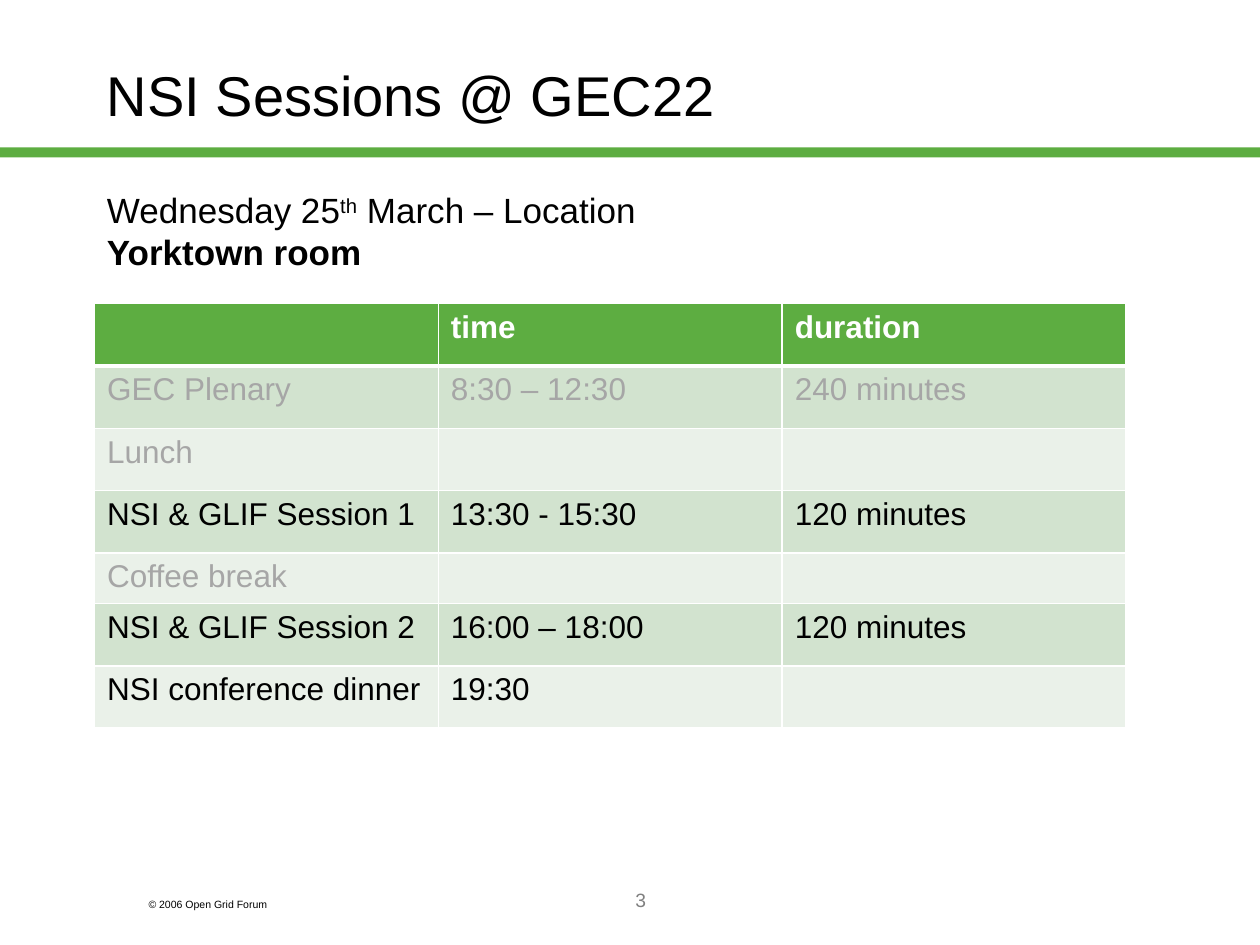
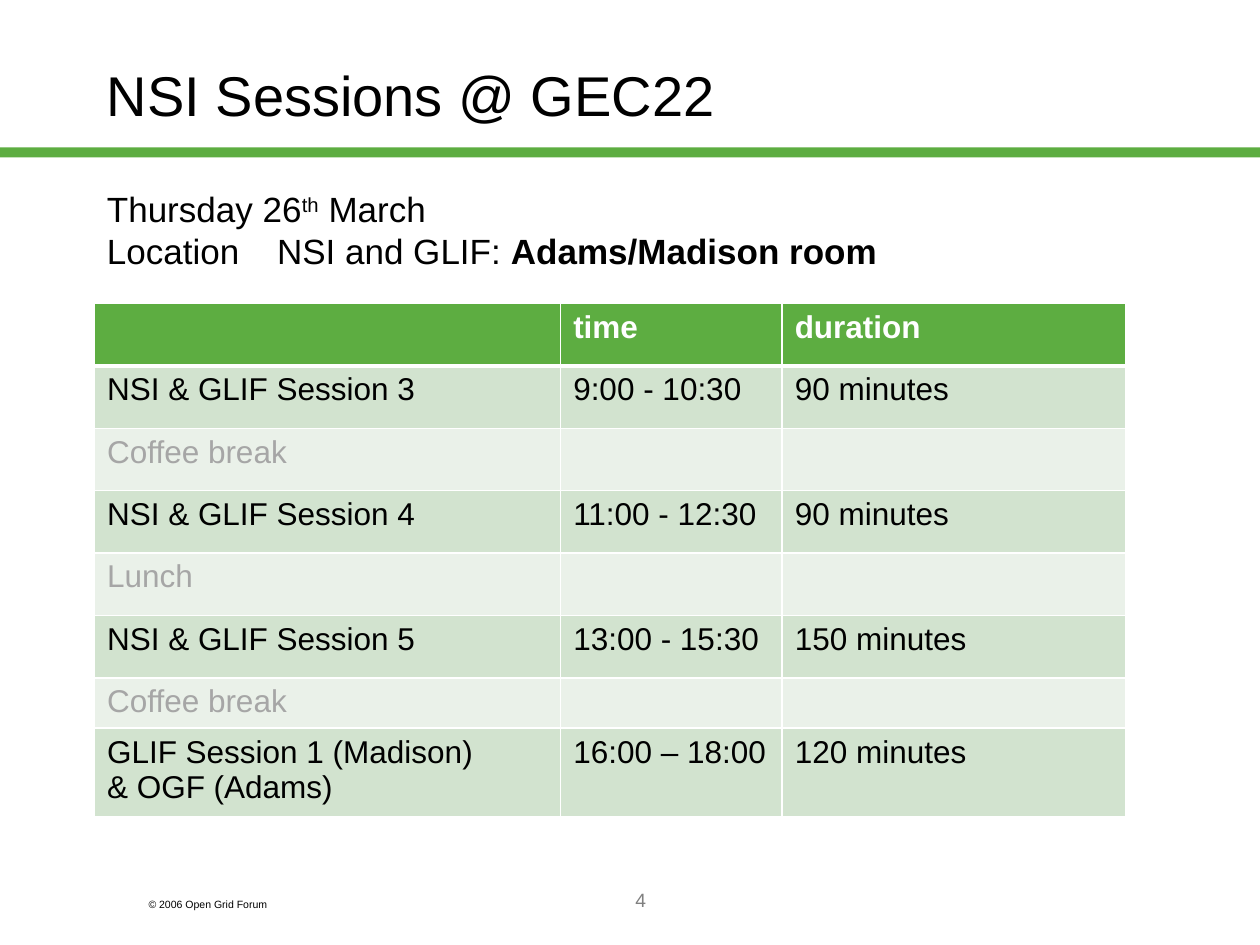
"""Build the two session timetable slides."""
from dataclasses import dataclass

from lxml import etree
from pptx import Presentation
from pptx.dml.color import RGBColor
from pptx.enum.shapes import MSO_SHAPE
from pptx.enum.text import MSO_ANCHOR, PP_ALIGN
from pptx.oxml.ns import qn
from pptx.util import Pt

RECT = MSO_SHAPE.RECTANGLE
TOP, MIDDLE = MSO_ANCHOR.TOP, MSO_ANCHOR.MIDDLE
LEFT, CENTER = PP_ALIGN.LEFT, PP_ALIGN.CENTER

FONT = "Arial"
COLORS = {
    "green": "5DAD41",
    "band_dark": "D2E3CF",
    "band_light": "EAF1E9",
    "text": "000000",
    "muted": "A6A6A6",
    "number": "808080",
    "white": "FFFFFF",
}
TITLE = "NSI Sessions @ GEC22"
COPYRIGHT = "© 2006 Open Grid Forum"
ROW_H, SHORT_ROW_H, TALL_ROW_H = 35.65, 28.8, 50.4
TABLE_LEFT, TABLE_TOP = 54, 173.5
LOCATION_TAB = 97.2


@dataclass
class Span:
    text: str
    bold: bool = False
    raised: bool = False


@dataclass
class Session:
    name: str
    time: str = ""
    duration: str = ""
    muted: bool = False
    height: float = ROW_H


@dataclass
class Day:
    number: int
    heading: list[list[Span]]
    heading_box: tuple[float, float, float, float]
    col_widths: list[float]
    sessions: list[Session]


DAYS = [
    Day(
        3,
        [[Span("Wednesday 25"), Span("th", raised=True), Span(" March – Location")],
         [Span("Yorktown room", bold=True)]],
        (54, 104.4, 317.5, 51),
        [196.5, 196.5, 196.5],
        [
            Session("GEC Plenary", "8:30 – 12:30", "240 minutes", muted=True),
            Session("Lunch", muted=True),
            Session("NSI & GLIF Session 1", "13:30 - 15:30", "120 minutes"),
            Session("Coffee break", muted=True, height=SHORT_ROW_H),
            Session("NSI & GLIF Session 2", "16:00 – 18:00", "120 minutes"),
            Session("NSI conference dinner", "19:30"),
        ],
    ),
    Day(
        4,
        [[Span("Thursday 26"), Span("th", raised=True), Span(" March")],
         [Span("Location\tNSI and GLIF: "), Span("Adams/Madison room", bold=True)]],
        (54, 103.7, 572.4, 69.8),
        [266.4, 126.6, 196.5],
        [
            Session("NSI & GLIF Session 3", "9:00 - 10:30", "90 minutes"),
            Session("Coffee break", muted=True),
            Session("NSI & GLIF Session 4", "11:00 - 12:30", "90 minutes"),
            Session("Lunch", muted=True),
            Session("NSI & GLIF Session 5", "13:00 - 15:30", "150 minutes"),
            Session("Coffee break", muted=True, height=SHORT_ROW_H),
            Session("GLIF Session 1 (Madison)\n& OGF (Adams)", "16:00 – 18:00",
                    "120 minutes", height=TALL_ROW_H),
        ],
    ),
]


def rgb(name: str) -> RGBColor:
    return RGBColor.from_string(COLORS[name])


def style(p, size: float, color: str, bold: bool = False) -> None:
    p.font.name = FONT
    p.font.size = Pt(size)
    p.font.bold = bold
    p.font.color.rgb = rgb(color)


def add_text(s, box: tuple, text: str, size: float, color: str = "text",
             align=LEFT, anchor=TOP):
    tf = s.shapes.add_textbox(*map(Pt, box)).text_frame
    tf.word_wrap = True
    tf.vertical_anchor = anchor
    p = tf.paragraphs[0]
    p.text = text
    p.alignment = align
    style(p, size, color)
    return p


def add_heading(s, day: Day) -> None:
    tf = s.shapes.add_textbox(*map(Pt, day.heading_box)).text_frame
    tf.word_wrap = True
    p = tf.paragraphs[0]
    if any("\t" in span.text for line in day.heading for span in line):
        tabs = etree.SubElement(p._p.get_or_add_pPr(), qn("a:tabLst"))
        etree.SubElement(tabs, qn("a:tab"), pos=str(Pt(LOCATION_TAB)), algn="l")
    style(p, 20, "text")
    for i, line in enumerate(day.heading):
        if i:
            p.add_line_break()
        for span in line:
            r = p.add_run()
            r.text = span.text
            if span.bold:
                r.font.bold = True
            if span.raised:
                r.font._element.set("baseline", "30000")


def set_borders(cell, top: float, bottom: float) -> None:
    tc_pr = cell._tc.get_or_add_tcPr()
    for side, width in (("L", 1), ("R", 1), ("T", top), ("B", bottom)):
        ln = etree.SubElement(tc_pr, qn(f"a:ln{side}"), w=str(Pt(width)))
        fill = etree.SubElement(ln, qn("a:solidFill"))
        etree.SubElement(fill, qn("a:srgbClr"), val=COLORS["white"])


def add_timetable(s, day: Day) -> None:
    rows = [Session("", "time", "duration"), *day.sessions]
    size = sum(day.col_widths), sum(row.height for row in rows)
    table = s.shapes.add_table(len(rows), len(day.col_widths), Pt(TABLE_LEFT),
                               Pt(TABLE_TOP), *map(Pt, size)).table
    table.first_row = table.horz_banding = False
    for col, width in zip(table.columns, day.col_widths):
        col.width = Pt(width)
    for i, row in enumerate(rows):
        table.rows[i].height = Pt(row.height)
        header = i == 0
        band = "green" if header else "band_dark" if i % 2 else "band_light"
        color = "white" if header else "muted" if row.muted else "text"
        for j, text in enumerate((row.name, row.time, row.duration)):
            cell = table.cell(i, j)
            set_borders(cell, 3 if i == 1 else 1, 3 if header else 1)
            cell.fill.solid()
            cell.fill.fore_color.rgb = rgb(band)
            cell.text = text
            for p in cell.text_frame.paragraphs:
                style(p, 18, color, header)


def add_frame(s, number: int) -> None:
    sp = s.shapes.add_shape(RECT, Pt(0), Pt(84.2), Pt(720), Pt(5.8))
    sp.shadow.inherit = False
    sp.fill.solid()
    sp.fill.fore_color.rgb = rgb("green")
    sp.line.fill.background()
    add_text(s, (77.8, 509.8, 108, 14.4), COPYRIGHT, 6)
    add_text(s, (156.2, 504, 419.8, 36), str(number), 11, "number", CENTER)
    title = add_text(s, (54, 12.2, 612, 90), TITLE, 32, anchor=MIDDLE)
    title.line_spacing = 0.8


def main() -> None:
    prs = Presentation()
    prs.slide_width, prs.slide_height = Pt(720), Pt(540)
    for day in DAYS:
        s = prs.slides.add_slide(prs.slide_layouts[6])
        add_frame(s, day.number)
        add_heading(s, day)
        add_timetable(s, day)
    prs.save("out.pptx")


if __name__ == "__main__":
    main()
